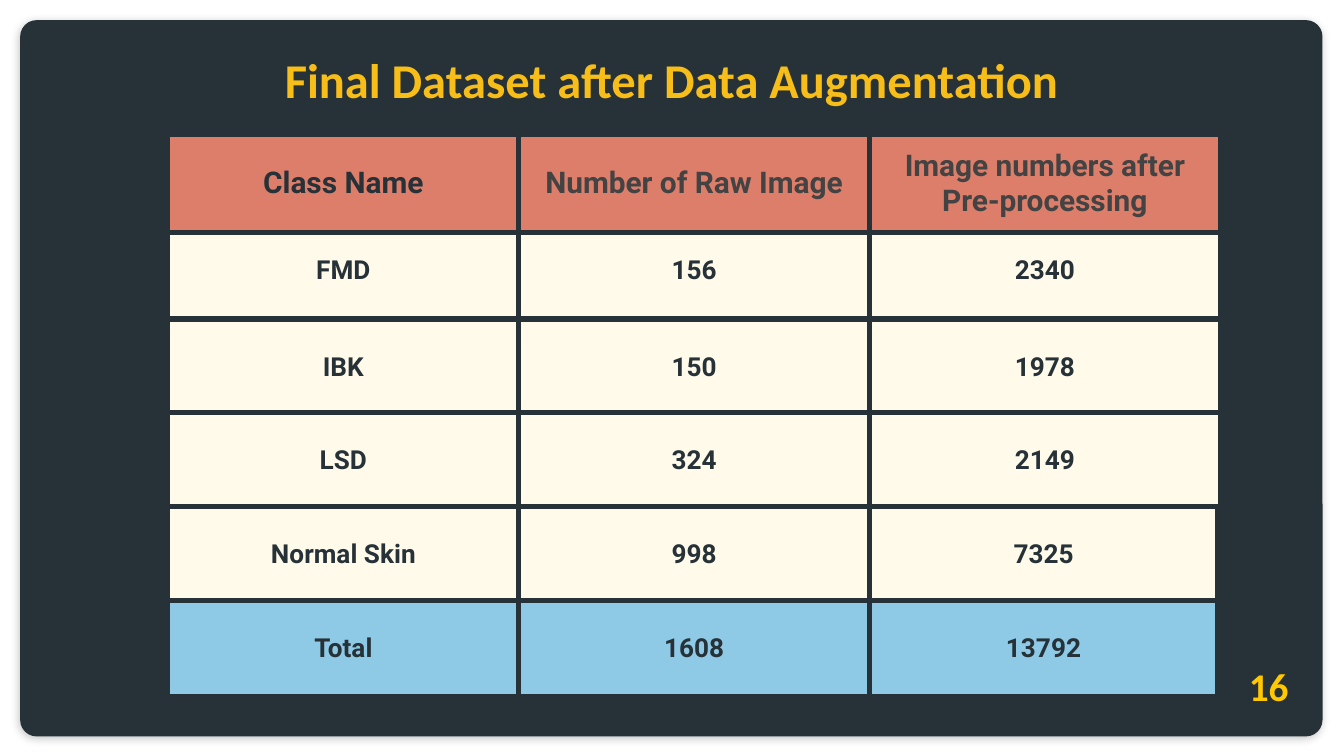
import pptx
import pptx.util
import pptx.dml.color
import pptx.enum.shapes
import pptx.enum.text
import pptx.oxml
import pptx.oxml.ns
from pptx.util import Inches

COLORS = {
    "panel": "263238",
    "title": "F7BD18",
    "number": "FFC800",
    "header": "DD7E6B",
    "header_text": "434343",
    "body": "FFFAEA",
    "total": "8ECAE5",
}
NAMESPACE = pptx.oxml.ns.nsdecls("a")
ROW_HEIGHT = 0.71
WIDE = [2.61, 2.61, 2.61]
NARROW = [2.61, 2.61, 2.59]
ROWS = [
    (1.66, WIDE, "body", ["FMD", "156", "2340"]),
    (2.38, WIDE, "body", ["IBK", "150", "1978"]),
    (3.07, WIDE, "body", ["LSD", "324", "2149"]),
    (3.77, NARROW, "body", ["Normal Skin", "998", "7325"]),
    (4.47, NARROW, "total", ["Total", "1608", "13792"]),
]
HEADINGS = ["Class Name", "Number of Raw Image", "Image numbers after Pre-processing"]


def rgb(name):
    return pptx.dml.color.RGBColor.from_string(COLORS[name])


def set_text(frame, text, font_name, size, color):
    frame.text = text
    paragraph = frame.paragraphs[0]
    paragraph.alignment = pptx.enum.text.PP_ALIGN.CENTER
    font = paragraph.runs[0].font
    font.name = font_name
    font.size = pptx.util.Pt(size)
    font.bold = True
    font.color.rgb = rgb(color)


def add_panel(slide, left, top, width, height):
    panel = slide.shapes.add_shape(
        pptx.enum.shapes.MSO_SHAPE.ROUNDED_RECTANGLE,
        Inches(left), Inches(top), Inches(width), Inches(height))
    panel.adjustments[0] = 0.023
    panel.fill.solid()
    panel.fill.fore_color.rgb = rgb("panel")
    panel.line.fill.background()
    panel._element.spPr.append(pptx.oxml.parse_xml(
        f'<a:effectLst {NAMESPACE}><a:outerShdw blurRad="57150" dist="19050" '
        'dir="5400000" algn="bl" rotWithShape="0"><a:srgbClr val="000000">'
        '<a:alpha val="24000"/></a:srgbClr></a:outerShdw></a:effectLst>'))


def add_label(slide, left, top, width, height, text, size, color):
    label = slide.shapes.add_textbox(
        Inches(left), Inches(top), Inches(width), Inches(height))
    frame = label.text_frame
    frame.word_wrap = True
    frame.margin_left = frame.margin_right = Inches(0.1)
    frame.margin_top = frame.margin_bottom = Inches(0.1)
    set_text(frame, text, "Calibri", size, color)


def set_borders(cell):
    properties = cell._tc.get_or_add_tcPr()
    for index, side in enumerate(("lnL", "lnR", "lnT", "lnB")):
        properties.insert(index, pptx.oxml.parse_xml(
            f'<a:{side} {NAMESPACE} w="38100"><a:solidFill>'
            f'<a:srgbClr val="{COLORS["panel"]}"/></a:solidFill></a:{side}>'))


def add_row(slide, left, top, widths, fill, texts, size, text_colors):
    table = slide.shapes.add_table(
        1, len(texts), Inches(left), Inches(top),
        Inches(sum(widths)), Inches(ROW_HEIGHT)).table
    table.first_row = False
    table.horz_banding = False
    for column, width in zip(table.columns, widths):
        column.width = Inches(width)
    for cell, text, color in zip(table.rows[0].cells, texts, text_colors):
        cell.fill.solid()
        cell.fill.fore_color.rgb = rgb(fill)
        cell.vertical_anchor = pptx.enum.text.MSO_ANCHOR.MIDDLE
        cell.margin_left = cell.margin_right = Inches(0.1)
        cell.margin_top = cell.margin_bottom = Inches(0.1)
        set_text(cell.text_frame, text, "Roboto", size, color)
        set_borders(cell)


def build_dataset_slide(presentation):
    slide = presentation.slides.add_slide(presentation.slide_layouts[6])
    add_panel(slide, 0.15, 0.15, 9.69, 5.33)
    add_label(slide, 0.65, 0.27, 8.7, 0.64,
              "Final Dataset after Data Augmentation", 26, "title")
    for top, widths, fill, texts in ROWS:
        add_row(slide, 1.25, top, widths, fill, texts, 14, ["panel"] * 3)
    add_row(slide, 1.25, 1, WIDE, "header", HEADINGS, 16,
            ["panel", "header_text", "header_text"])
    add_label(slide, 9.05, 4.83, 0.78, 0.56, "16", 21, "number")


def main():
    presentation = pptx.Presentation()
    presentation.slide_width = Inches(10)
    presentation.slide_height = presentation.slide_width * 9 // 16
    build_dataset_slide(presentation)
    presentation.save("out.pptx")


if __name__ == "__main__":
    main()
